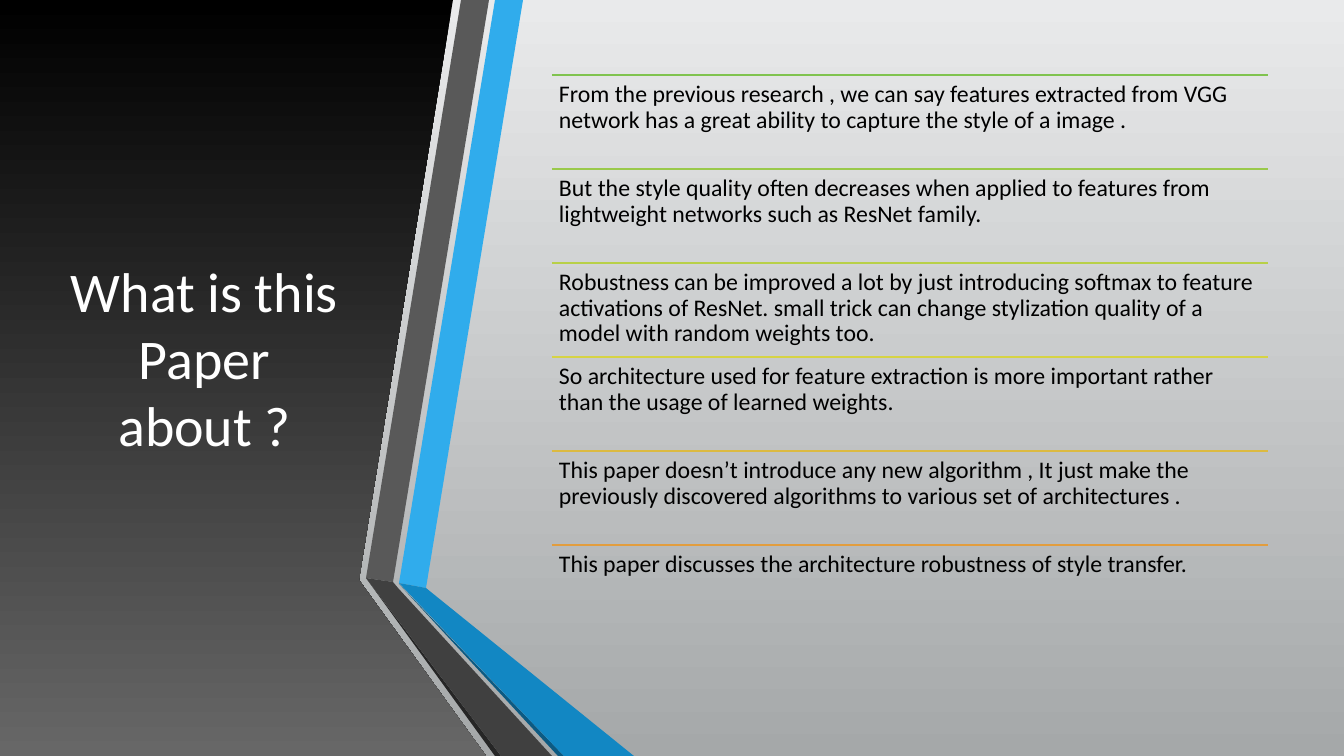
from lxml.etree import SubElement
from pptx import Presentation
from pptx.dml.color import RGBColor
from pptx.enum.shapes import MSO_CONNECTOR
from pptx.enum.text import MSO_ANCHOR, PP_ALIGN
from pptx.oxml.ns import qn
from pptx.util import Emu, Pt

PX = 914400 / 100.8
WIDTH, HEIGHT = 1344, 756
FONT = "Calibri"

WHITE = RGBColor(0xFF, 0xFF, 0xFF)
BLACK = RGBColor(0x00, 0x00, 0x00)
PANEL_BOTTOM = RGBColor(0x67, 0x67, 0x67)
BACK_TOP = RGBColor(0xE9, 0xEA, 0xEB)
BACK_BOTTOM = RGBColor(0xA5, 0xA8, 0xA9)
BLUE = RGBColor(0x30, 0xAC, 0xEC)
BLUE_SHADE = RGBColor(0x0C, 0x5A, 0x82)
BLUE_FOLD = RGBColor(0x12, 0x87, 0xC3)
GREY = RGBColor(0x59, 0x59, 0x59)
GREY_SHADE = RGBColor(0x26, 0x26, 0x26)
GREY_FOLD = RGBColor(0x40, 0x40, 0x40)

PANEL = [(0, 0), (453, 0), (359, 580), (486, 756), (0, 756)]
RIBBONS = [
    (BLUE, [(33, 583), (60, 588), (157, 0), (129, 0)]),
    (GREY, [(123, 0), (95, 0), (0, 578), (27, 582)]),
    (GREY_SHADE, [(0, 578), (129, 756), (135, 756)]),
    (BLUE_SHADE, [(33, 584), (192, 756), (198, 756)]),
    (BLUE_FOLD, [(33, 583), (198, 756), (268, 756), (60, 588)]),
    (GREY_FOLD, [(186, 756), (32, 588), (27, 582), (0, 578), (135, 756)]),
]
POINTS = [
    (RGBColor(0x80, 0xC3, 0x4F), "From the previous research , we can say features extracted from VGG "
     "network has a great ability to capture the style of a image ."),
    (RGBColor(0x9A, 0xC9, 0x4B), "But the style quality often decreases when applied to features from "
     "lightweight networks such as ResNet family."),
    (RGBColor(0xB8, 0xD0, 0x48), "Robustness can be improved a lot by just introducing softmax to feature "
     "activations of ResNet. small trick can change stylization quality of a model with random weights too."),
    (RGBColor(0xD6, 0xD3, 0x44), "So architecture used for feature extraction is more important rather "
     "than the usage of learned weights."),
    (RGBColor(0xDC, 0xBA, 0x41), "This paper doesn’t introduce any new algorithm , It just make the "
     "previously discovered algorithms to various set of architectures ."),
    (RGBColor(0xE2, 0x9D, 0x3E), "This paper discusses the architecture robustness of style transfer."),
]


def px(length):
    """Turn pixels into EMU."""
    return Emu(round(length * PX))


def set_values(target, values):
    """Set each named format value on the target."""
    for name, value in values.items():
        setattr(target, name, value)


def fill_downward(fill, top_color, bottom_color):
    """Fill with a gradient running from top to bottom."""
    fill.gradient()
    fill.gradient_angle = 270
    for stop, position, color in zip(fill.gradient_stops, (0, 1), (top_color, bottom_color)):
        stop.position = position
        stop.color.rgb = color


def add_outline(page, left, top, corners):
    """Draw a closed outline without a line and return it."""
    placed = [(left + x, top + y) for x, y in corners]
    builder = page.shapes.build_freeform(*placed[0], scale=PX)
    builder.add_line_segments(placed[1:], close=True)
    shape = builder.convert_to_shape()
    shape.shadow.inherit = False
    shape.line.fill.background()
    return shape


def add_text(page, box, text, size, color, frame_values, para_values):
    """Place one paragraph of text in the box."""
    frame = page.shapes.add_textbox(*map(px, box)).text_frame
    set_values(frame, {"word_wrap": True, **frame_values})
    para = frame.paragraphs[0]
    set_values(para, para_values)
    span = para.add_run()
    span.text = text
    set_values(span.font, {"name": FONT, "size": Pt(size)})
    span.font.color.rgb = color


def add_title_panel(page, box):
    """Draw the dark panel with the title in it."""
    left, top, width, height = box
    panel = add_outline(page, left, top, PANEL)
    fill_downward(panel.fill, BLACK, PANEL_BOTTOM)
    add_text(page, (left + 59, top + 76, width - 195, height - 194),
             "What is this Paper about ?", 40, WHITE,
             {"vertical_anchor": MSO_ANCHOR.MIDDLE}, {"alignment": PP_ALIGN.CENTER})


def add_ribbons(page, box):
    """Draw the folded grey and blue ribbons."""
    left, top = box[:2]
    for color, corners in RIBBONS:
        ribbon = add_outline(page, left, top, corners)
        ribbon.fill.solid()
        ribbon.fill.fore_color.rgb = color


def add_points(page, box):
    """Stack the points in equal rows, each under its own rule."""
    left, top, width, height = box
    row_height = height // len(POINTS)
    margins = {f"margin_{side}": px(7) for side in ("left", "top", "right", "bottom")}
    for index, (color, text) in enumerate(POINTS):
        row_top = top + index * row_height
        rule = page.shapes.add_connector(
            MSO_CONNECTOR.STRAIGHT, px(left), px(row_top), px(left + width), px(row_top))
        rule.line.color.rgb = color
        rule.line.width = Pt(1.25)
        SubElement(rule.element.spPr, qn("a:effectLst"))
        add_text(page, (left, row_top, width, row_height), text, 17, BLACK,
                 margins, {"line_spacing": 0.9})


def main():
    """Build and save the deck."""
    deck = Presentation()
    set_values(deck, {"slide_width": px(WIDTH), "slide_height": px(HEIGHT)})
    page = deck.slides.add_slide(deck.slide_layouts[6])
    fill_downward(page.background.fill, BACK_TOP, BACK_BOTTOM)
    add_title_panel(page, (0, 0, 486, HEIGHT))
    add_ribbons(page, (366, 0, 268, HEIGHT))
    add_points(page, (552, 75, 716, 564))
    deck.save("out.pptx")


if __name__ == "__main__":
    main()
